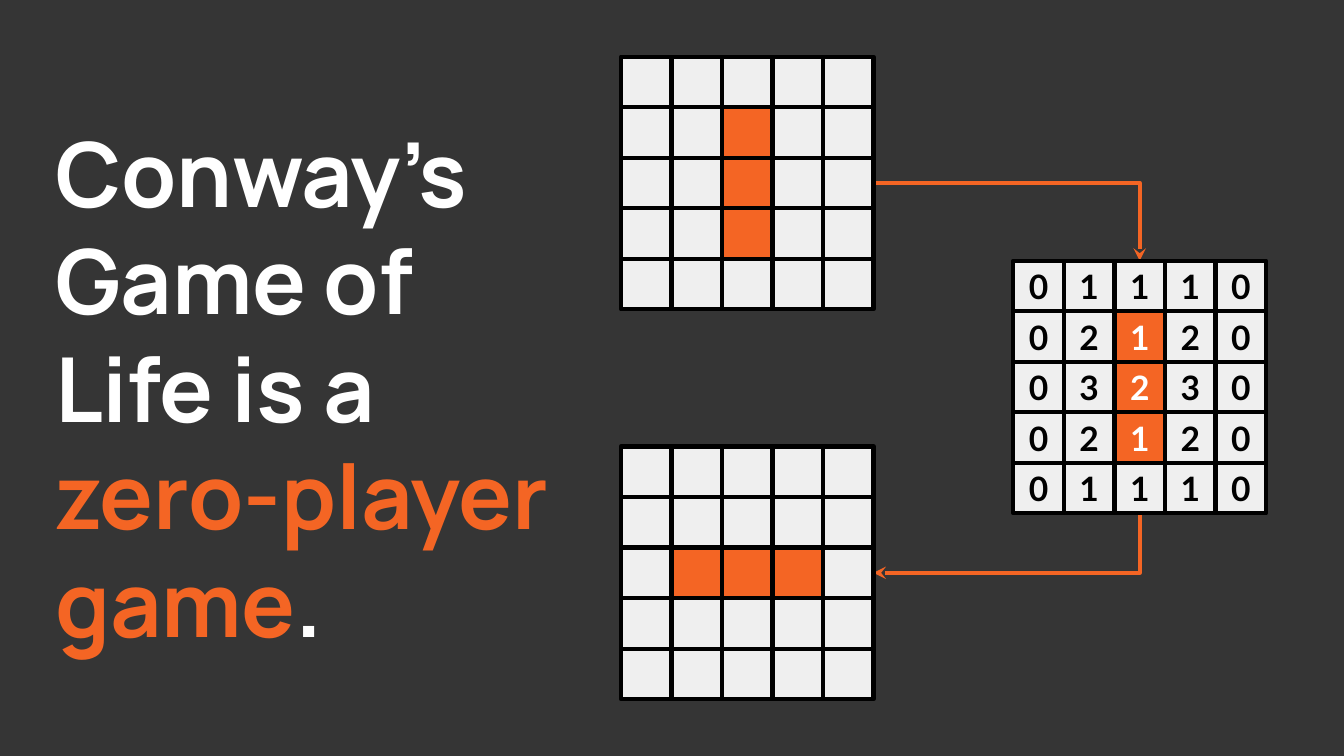
from lxml import etree
from pptx import Presentation
from pptx.dml.color import RGBColor
from pptx.enum.shapes import MSO_CONNECTOR as Connector, MSO_SHAPE as Shape
from pptx.enum.text import MSO_ANCHOR as Anchor, MSO_AUTO_SIZE as AutoSize, PP_ALIGN as Align
from pptx.oxml.ns import qn
from pptx.util import Inches, Pt

ORANGE, WHITE, BLACK, PALE, DARK = "F46524", "FFFFFF", "000000", "EFEFEF", "353535"
WIDTH = Inches(10)
HEIGHT = WIDTH * 9 // 16
SIZE = 5
SIDE = Inches(1.88)
CELL = SIDE // SIZE


def paint(color_format, color):
    color_format.rgb = RGBColor.from_string(color)


def set_insets(frame):
    frame.margin_left = frame.margin_right = Inches(0.1)
    frame.margin_top = frame.margin_bottom = Inches(0.1)
    frame.vertical_anchor = Anchor.MIDDLE
    frame.word_wrap = True


prs = Presentation()
prs.slide_width, prs.slide_height = WIDTH, HEIGHT
slide = prs.slides.add_slide(prs.slide_layouts[5])
slide.background.fill.solid()
paint(slide.background.fill.fore_color, DARK)

# Title
title = slide.shapes.title
title.left, title.top = Inches(0.31), Inches(0.78)
title.width, title.height = Inches(3.96), Inches(4.19)
set_insets(title.text_frame)
title.text_frame.auto_size = AutoSize.NONE
sentence = title.text_frame.paragraphs[0]
sentence.alignment = Align.LEFT
sentence.font.name, sentence.font.size, sentence.font.bold = "Manrope", Pt(48), True
for words, color in [("Conway’s Game of Life is a ", WHITE),
                     ("zero-player game", ORANGE), (".", WHITE)]:
    run = sentence.add_run()
    run.text = words
    paint(run.font.color, color)

# One generation: count the live neighbours, then apply the rules
cells = [(row, col) for row in range(SIZE) for col in range(SIZE)]
before = {(1, 2), (2, 2), (3, 2)}
neighbours = {(row, col): sum(max(abs(row - r), abs(col - c)) == 1 for r, c in before)
              for row, col in cells}
after = {cell for cell in cells
         if neighbours[cell] == 3 or (neighbours[cell] == 2 and cell in before)}

left_x, right_x = Inches(4.62), Inches(7.54)
before_y = HEIGHT // 2 - Inches(2.39)
after_y = HEIGHT // 2 + Inches(0.51)
count_y = Inches(1.94)

# Arrows, drawn first so that the grids cover their ends
grid_edge, count_middle = left_x + SIDE, right_x + SIDE // 2
for start, end, preset, bend in [
    ((count_middle, count_y + SIDE), (grid_edge, after_y + SIDE // 2), "bentConnector3", 0),
    ((grid_edge, before_y + SIDE // 2), (count_middle, count_y), "bentConnector2", None),
]:
    arrow = slide.shapes.add_connector(Connector.ELBOW, *start, *end)
    arrow.line.width = Pt(2.25)
    paint(arrow.line.color, ORANGE)
    properties = arrow._element.spPr
    geometry = properties.find(qn("a:prstGeom"))
    geometry.set("prst", preset)
    if bend is not None:
        guides = geometry.find(qn("a:avLst"))
        etree.SubElement(guides, qn("a:gd"), name="adj1", fmla=f"val {bend}")
    etree.SubElement(properties.find(qn("a:ln")), qn("a:tailEnd"), type="stealth")
    etree.SubElement(properties, qn("a:effectLst"))

# Grids: left, top, live cells, numbers
for left, top, live, numbers in [(left_x, after_y, after, None),
                                 (left_x, before_y, before, None),
                                 (right_x, count_y, before, neighbours)]:
    grid = slide.shapes.add_group_shape()
    for row, col in cells:
        alive = (row, col) in live
        square = grid.shapes.add_shape(Shape.RECTANGLE, left + col * CELL,
                                       top + row * CELL, CELL, CELL)
        square.shadow.inherit = False
        square.fill.solid()
        paint(square.fill.fore_color, ORANGE if alive else PALE)
        paint(square.line.color, BLACK)
        square.line.width = Pt(2.25)
        if numbers:
            set_insets(square.text_frame)
            number = square.text_frame.paragraphs[0]
            number.text = str(numbers[row, col])
            number.alignment = Align.CENTER
            number.font.name, number.font.size, number.font.bold = "Lato", Pt(18), True
            paint(number.font.color, WHITE if alive else BLACK)

prs.save("out.pptx")
